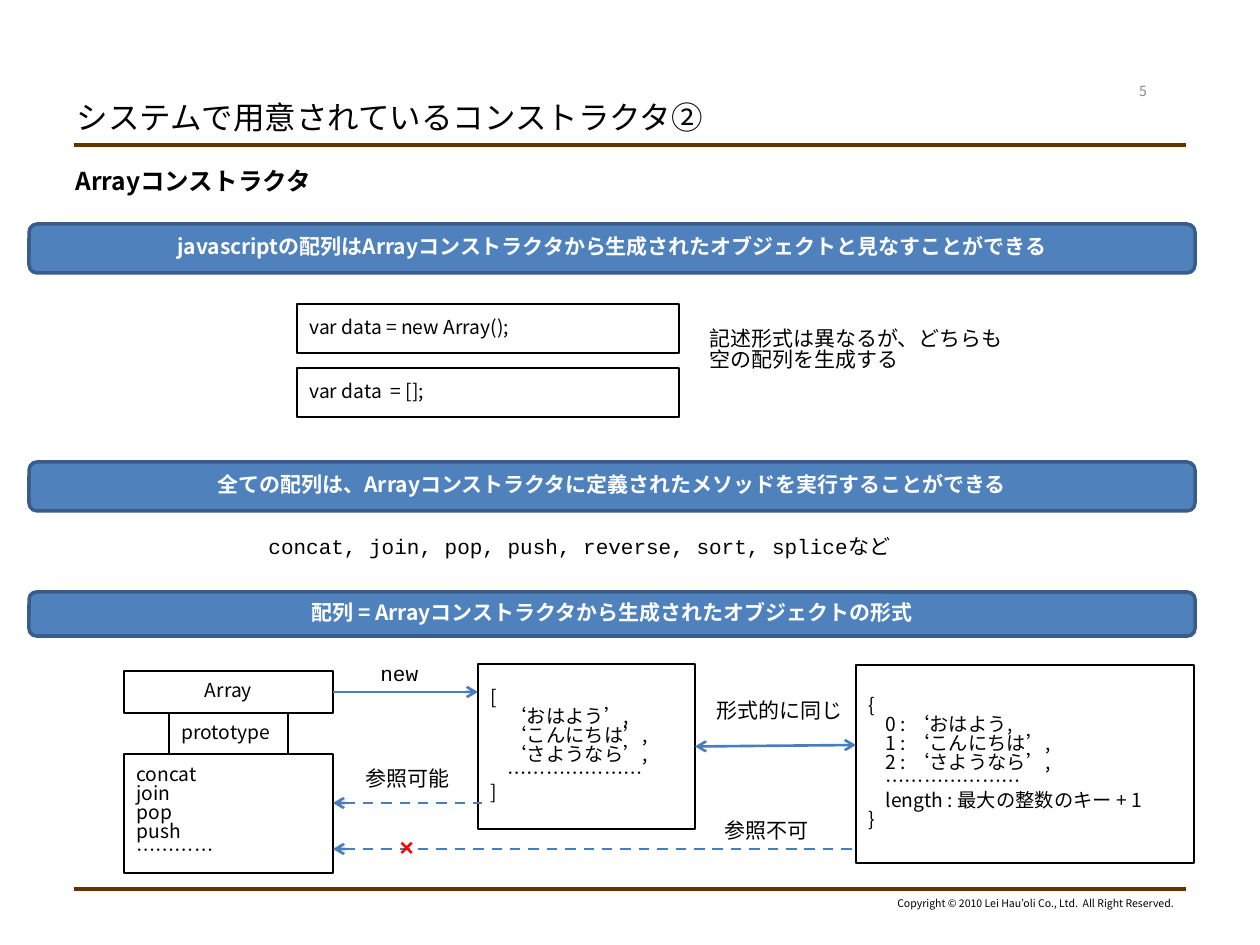
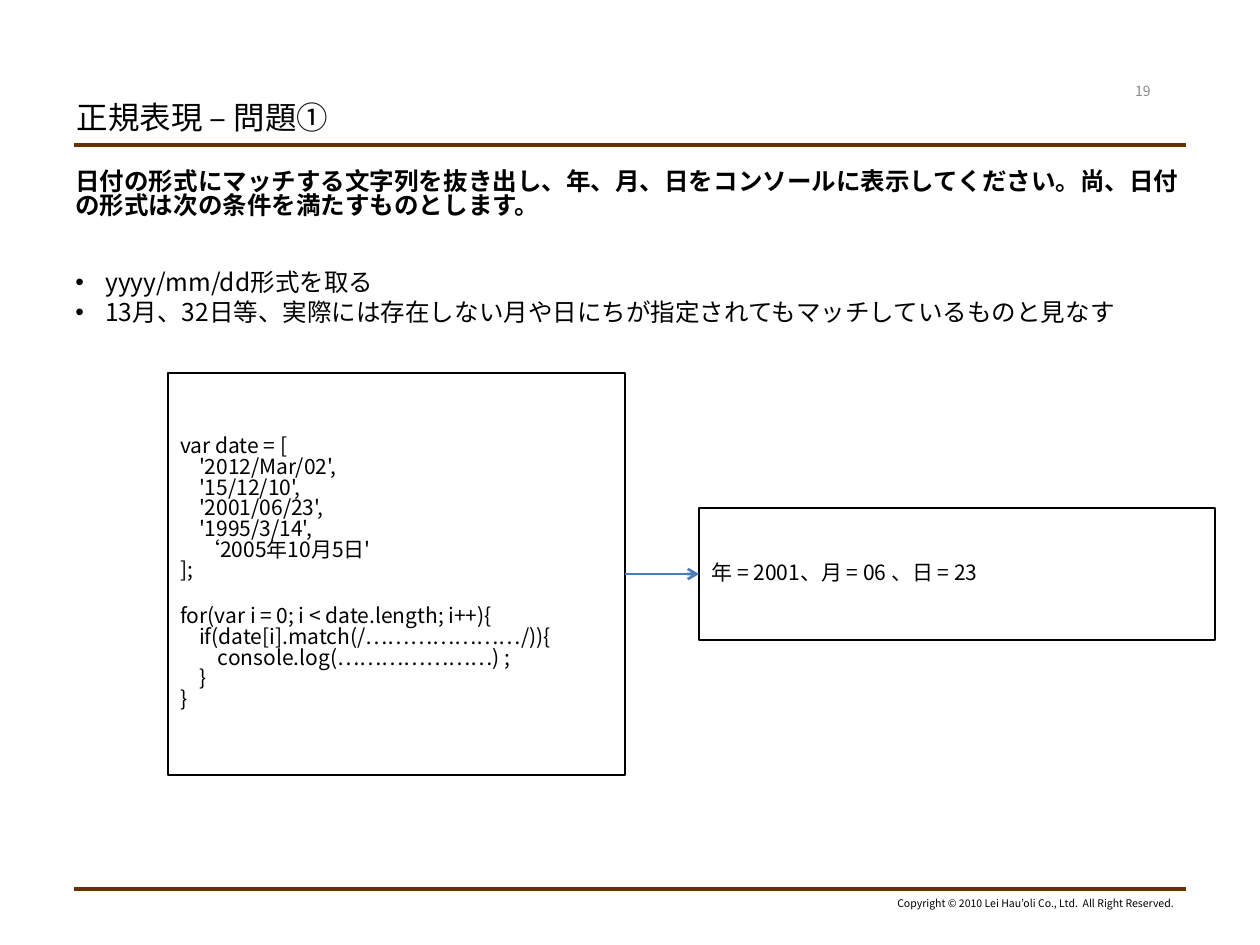
import pptx
import pptx.util
import pptx.dml.color
import pptx.enum.dml
import pptx.enum.shapes
import pptx.enum.text
import pptx.oxml.ns
from lxml import etree

SCALE = 914400 / 126  # EMU in one px
FONT = "Noto Sans CJK JP"
MONO = "Courier New"
COLORS = {
    "ink": "000000", "white": "FFFFFF", "rule": "663300", "number": "898989",
    "bar": "4F81BD", "bar_line": "385D8A", "arrow": "4A7EBB", "cross": "FF0000",
}
SHAPE = pptx.enum.shapes.MSO_SHAPE
ALIGN = pptx.enum.text.PP_ALIGN
ANCHOR = pptx.enum.text.MSO_ANCHOR


def emu(*lengths):
    return [pptx.util.Emu(round(length * SCALE)) for length in lengths]


def rgb(name):
    return pptx.dml.color.RGBColor.from_string(COLORS[name])


def add_element(parent, tag, **attributes):
    return etree.SubElement(parent, pptx.oxml.ns.qn(tag), attributes)


def write(shape, text, size=12, color="ink", bold=False, font=FONT, align=ALIGN.LEFT,
          anchor=ANCHOR.MIDDLE, wrap=True, spacing=0.82, before=0, gap=14.5, bullets=False):
    """Fill a shape with lines; an empty line in the text becomes space before the next."""
    frame = shape.text_frame
    frame.word_wrap = wrap
    frame.auto_size = pptx.enum.text.MSO_AUTO_SIZE.NONE
    frame.vertical_anchor = anchor
    first = True
    for block in text.split("\n\n"):
        for index, line in enumerate(block.split("\n")):
            para = frame.paragraphs[0] if first else frame.add_paragraph()
            para.alignment = align
            para.line_spacing = spacing
            if not first:
                para.space_before = pptx.util.Pt(before if index else gap)
            else:
                para.space_before = pptx.util.Pt(0)
            if bullets:
                properties = para._p.get_or_add_pPr()
                indent = emu(30)[0]
                properties.set("marL", str(indent))
                properties.set("indent", str(-indent))
                add_element(properties, "a:buFont", typeface="Arial")
                add_element(properties, "a:buChar", char="•")
            span = para.add_run()
            span.text = line
            span.font.size = pptx.util.Pt(size)
            span.font.bold = bold
            span.font.color.rgb = rgb(color)
            span.font.name = font
            add_element(span._r.get_or_add_rPr(), "a:ea", typeface=FONT)
            first = False
    return shape


def add_label(page, box, text, anchor=ANCHOR.TOP, **style):
    return write(page.shapes.add_textbox(*emu(*box)), text, anchor=anchor, **style)


def add_panel(page, box, text, size=11, **style):
    """Outlined box for code."""
    panel = page.shapes.add_shape(SHAPE.RECTANGLE, *emu(*box))
    panel.shadow.inherit = False
    panel.fill.background()
    panel.line.color.rgb = rgb("ink")
    panel.line.width = pptx.util.Pt(1)
    return write(panel, text, size=size, **style)


def add_bar(page, box, text):
    bar = page.shapes.add_shape(SHAPE.ROUNDED_RECTANGLE, *emu(*box))
    bar.shadow.inherit = False
    bar.fill.solid()
    bar.fill.fore_color.rgb = rgb("bar")
    bar.line.color.rgb = rgb("bar_line")
    bar.line.width = pptx.util.Pt(2)
    return write(bar, text, color="white", bold=True, align=ALIGN.CENTER)


def add_line(page, ends, color="arrow", width=1.5, dashed=False, head=False, tail=False):
    line = page.shapes.add_connector(pptx.enum.shapes.MSO_CONNECTOR.STRAIGHT, *emu(*ends))
    line.line.color.rgb = rgb(color)
    line.line.width = pptx.util.Pt(width)
    if dashed:
        line.line.dash_style = pptx.enum.dml.MSO_LINE.DASH
    outline = line.line._get_or_add_ln()
    for tag, wanted in (("a:headEnd", head), ("a:tailEnd", tail)):
        if wanted:
            add_element(outline, tag, type="arrow")
    add_element(line._element.spPr, "a:effectLst")
    return line


def add_page(deck, title, number):
    """Page with the shared title, rules, number and copyright line."""
    page = deck.slides.add_slide(deck.slide_layouts[5])
    heading = page.shapes.title
    heading.left, heading.top, heading.width, heading.height = emu(64, 96, 716, 49)
    write(heading, title, size=18)
    for height in (145, 889):
        add_line(page, (74, height, 1186, height), color="rule", width=2.25)
    add_label(page, (1106, 77, 74, 30), number, size=8, color="number",
              align=ALIGN.CENTER, anchor=ANCHOR.MIDDLE)
    add_label(page, (881, 893, 305, 25),
              "Copyright © 2010 Lei Hau’oli Co., Ltd.  All Right Reserved.",
              size=6, align=ALIGN.RIGHT, wrap=False)
    return page


def add_empty_arrays(page, left, top):
    """Two ways to write an empty array, with a remark."""
    for index, code in enumerate(("var data = new Array();", "var data  = [];")):
        add_panel(page, (left, top + 64 * index, 382, 49), code)
    add_label(page, (left + 400, top + 20, 319, 63),
              "記述形式は異なるが、どちらも\n空の配列を生成する", font=MONO, wrap=False)


def add_array_diagram(page, left, top):
    """Constructor and its prototype, the array, and the equivalent object."""
    def at(x, y, width, height):
        return left + x, top + y, width, height

    def arrow(x1, y1, x2, y2, **style):
        return add_line(page, (left + x1, top + y1, left + x2, top + y2), **style)

    object_code = ("{\n    0 : ‘おはよう,\n    1 : ‘こんにちは’,\n    2 : ‘さようなら’,\n"
                   "    …………………\n    length : 最大の整数のキー + 1\n}")
    array_code = ("[\n    ‘おはよう’,\n    ‘こんにちは’,\n    ‘さようなら’,\n"
                  "    …………………\n]")
    add_panel(page, at(732, 1, 338, 198), object_code)
    array = add_panel(page, at(354, 0, 217, 165), array_code)
    add_panel(page, at(0, 90, 209, 119), "concat\njoin\npop\npush\n…………")
    constructor = add_panel(page, at(0, 7, 209, 42), "Array", align=ALIGN.CENTER)
    add_panel(page, at(45, 49, 119, 41), "prototype")

    arrow(209, 28, 354, 28, tail=True).begin_connect(constructor, 3)
    arrow(571, 82, 732, 81, head=True, tail=True).begin_connect(array, 3)
    for height, end in ((139, 358), (185, 732)):
        arrow(209, height, end, height, dashed=True, head=True)

    add_label(page, at(244, -10, 63, 38), "new", font=MONO, spacing=1, wrap=False)
    for x, y, width, text in ((580, 32, 151, "形式的に同じ"),
                              (229, 100, 108, "参照可能"),
                              (588, 152, 108, "参照不可")):
        add_label(page, at(x, y, width, 38), text, font=MONO, wrap=False)
    add_label(page, at(263, 167, 39, 43), "×", size=14, color="cross", bold=True,
              font=MONO, wrap=False)


def build_array_page(deck):
    page = add_page(deck, "システムで用意されているコンストラクタ②", "5")
    add_label(page, (63, 165, 1134, 45), "Arrayコンストラクタ", size=14, bold=True)
    bars = (
        (224, 49, "javascriptの配列はArrayコンストラクタから生成されたオブジェクトと見なすことができる"),
        (462, 49, "全ての配列は、Arrayコンストラクタに定義されたメソッドを実行することができる"),
        (592, 44, "配列 = Arrayコンストラクタから生成されたオブジェクトの形式"),
    )
    for top, height, text in bars:
        add_bar(page, (29, top, 1166, height), text)
    add_empty_arrays(page, 297, 304)
    add_label(page, (256, 532, 651, 38), "concat, join, pop, push, reverse, sort, spliceなど",
              font=MONO, wrap=False)
    add_array_diagram(page, 124, 664)


def add_date_exercise(page, left, top):
    """Code to complete and the output it should give."""
    code = """var date = [
    '2012/Mar/02',
    '15/12/10',
    '2001/06/23',
    '1995/3/14',
    ‘2005年10月5日'
];

for(var i = 0; i < date.length; i++){
    if(date[i].match(/…………………/)){
        console.log(…………………) ;
    }
}"""
    source = add_panel(page, (left, top, 457, 402), code, size=12)
    output = add_panel(page, (left + 531, top + 135, 516, 132),
                       "年 = 2001、月 = 06 、日 = 23", size=12)
    arrow = add_line(page, (left + 457, top + 201, left + 531, top + 201), tail=True)
    arrow.begin_connect(source, 3)
    arrow.end_connect(output, 1)


def build_regex_page(deck):
    page = add_page(deck, "正規表現 – 問題①", "19")
    add_label(page, (63, 165, 1134, 80),
              "日付の形式にマッチする文字列を抜き出し、年、月、日をコンソールに表示してください。"
              "尚、日付の形式は次の条件を満たすものとします。", size=14, bold=True)
    add_label(page, (63, 266, 1134, 90),
              "yyyy/mm/dd形式を取る\n"
              "13月、32日等、実際には存在しない月や日にちが指定されてもマッチしているものと見なす",
              size=14, before=3.5, bullets=True)
    add_date_exercise(page, 168, 373)


def main():
    deck = pptx.Presentation()
    deck.slide_width, deck.slide_height = emu(1260, 945)
    build_array_page(deck)
    build_regex_page(deck)
    deck.save("out.pptx")


if __name__ == "__main__":
    main()
